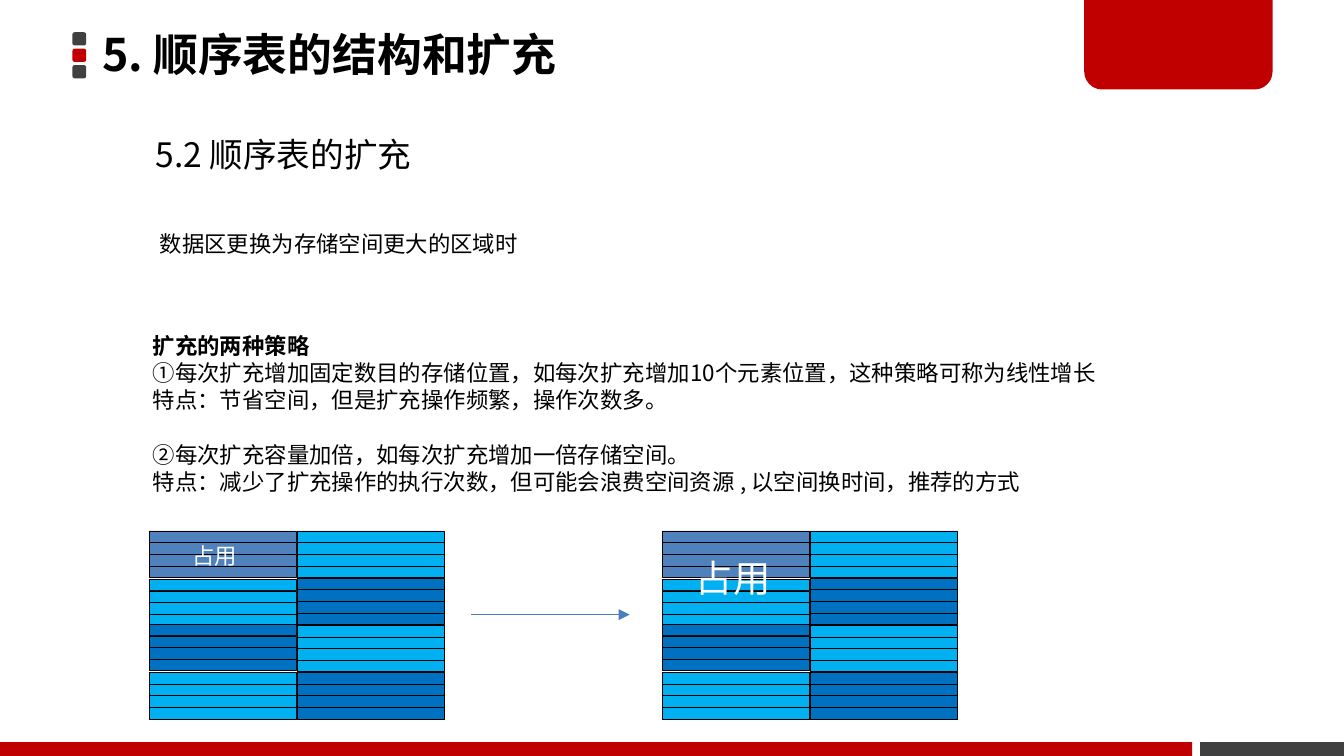
"""Build the slide on expanding a sequential list."""
from lxml.etree import SubElement
from pptx import Presentation
from pptx.dml.color import RGBColor
from pptx.enum.shapes import MSO_CONNECTOR, MSO_SHAPE
from pptx.enum.text import MSO_ANCHOR, MSO_AUTO_SIZE, PP_ALIGN
from pptx.oxml.ns import qn
from pptx.util import Cm, Pt

FONT = "Noto Sans CJK SC"
COLORS = {
    "red": "C00000", "gray": "404040", "black": "000000", "white": "FFFFFF",
    "used": "4F81BD", "light": "00B0F0", "dark": "0070C0", "arrow": "4B7EBC",
}


def add_block(kind, x, y, w, h, color, outlined=False):
    sp = s.shapes.add_shape(kind, Cm(x), Cm(y), Cm(w), Cm(h))
    sp.shadow.inherit = False
    sp.fill.solid()
    sp.fill.fore_color.rgb = RGBColor.from_string(COLORS[color])
    if outlined:
        sp.line.color.rgb = RGBColor.from_string(COLORS["black"])
        sp.line.width = Pt(0.25)
    else:
        sp.line.fill.background()
    return sp


def set_text(sp, text, size, color="black", spacing=None):
    tf = sp.text_frame
    tf.text = text
    tf.word_wrap = True
    tf.auto_size = MSO_AUTO_SIZE.NONE
    for p in tf.paragraphs:
        p.alignment = PP_ALIGN.LEFT
        p.line_spacing = spacing or Pt(round(size * 1.21, 1))
        for r in p.runs:
            r.font.name = FONT
            r.font.size = Pt(size)
            r.font.bold = False
            r.font.color.rgb = RGBColor.from_string(COLORS[color])
            SubElement(r.font._element, qn("a:ea"), typeface=FONT)
    return tf


prs = Presentation()
prs.slide_width, prs.slide_height = Cm(25.4), Cm(14.28)
s = prs.slides.add_slide(prs.slide_layouts[5])

for i, color in enumerate(["gray", "red", "gray"]):
    sp = add_block(MSO_SHAPE.ROUNDED_RECTANGLE, 1.37, 0.61 + i * 0.31, 0.26, 0.25, color)
    sp.adjustments[0] = 0.17
add_block(MSO_SHAPE.RECTANGLE, 22.68, 14.02, 2.72, 0.26, "gray")
add_block(MSO_SHAPE.RECTANGLE, 0, 14.02, 22.53, 0.26, "red")
tab = add_block(MSO_SHAPE.ROUND_2_SAME_RECTANGLE, 20.49, 0, 3.56, 1.69, "red")
tab.adjustments[0] = 0.2
tab.rotation = 180

title = s.shapes.title
title.left, title.top, title.width, title.height = Cm(1.75), Cm(-0.05), Cm(14.96), Cm(2.26)
tf = set_text(title, "5. 顺序表的结构和扩充", 24, spacing=0.9)
tf.vertical_anchor = MSO_ANCHOR.MIDDLE
tf.margin_left = tf.margin_right = Cm(0.18)
tf.margin_top = tf.margin_bottom = Cm(0.1)
tf.paragraphs[0].runs[0].font.bold = True

for grid_x in (2.82, 12.52):
    columns = [
        (grid_x, [10.03, 10.94, 11.79, 12.7], ["used", "light", "dark", "light"]),
        (grid_x + 2.79, [10.03, 10.92, 11.81, 12.7], ["light", "dark", "light", "dark"]),
    ]
    for x, tops, colors in columns:
        for top, color in zip(tops, colors):
            for row in range(4):
                add_block(MSO_SHAPE.RECTANGLE, x, top + row * 0.22, 2.78, 0.22, color, True)

strategies = "\n".join([
    "扩充的两种策略",
    "①每次扩充增加固定数目的存储位置，如每次扩充增加10个元素位置，这种策略可称为线性增长",
    "特点：节省空间，但是扩充操作频繁，操作次数多。",
    "②每次扩充容量加倍，如每次扩充增加一倍存储空间。",
    "特点：减少了扩充操作的执行次数，但可能会浪费空间资源 , 以空间换时间，推荐的方式",
])
texts = [
    (2.69, 2.39, 5.4, 1.8, "5.2 顺序表的扩充", 18, "black"),
    (2.77, 4.22, 7.42, 0.77, "数据区更换为存储空间更大的区域时", 12, "black"),
    (2.64, 6.15, 18.97, 3.33, strategies, 12, "black"),
    (3.38, 10.11, 1.4, 0.77, "占用", 12, "white"),
    (12.9, 10.36, 2.03, 1.11, "占用", 20, "white"),
]
for x, y, w, h, text, size, color in texts:
    sp = s.shapes.add_textbox(Cm(x), Cm(y), Cm(w), Cm(h))
    tf = set_text(sp, text, size, color)
    if text == strategies:
        tf.paragraphs[0].runs[0].font.bold = True
        tf.paragraphs[3].space_before = Pt(14.5)

arrow = s.shapes.add_connector(MSO_CONNECTOR.STRAIGHT, Cm(8.9), Cm(11.61), Cm(11.9), Cm(11.61))
arrow.line.color.rgb = RGBColor.from_string(COLORS["arrow"])
arrow.line.width = Pt(0.75)
SubElement(arrow.line._get_or_add_ln(), qn("a:tailEnd"), type="triangle")
SubElement(arrow._element.spPr, qn("a:effectLst"))

prs.save("out.pptx")
